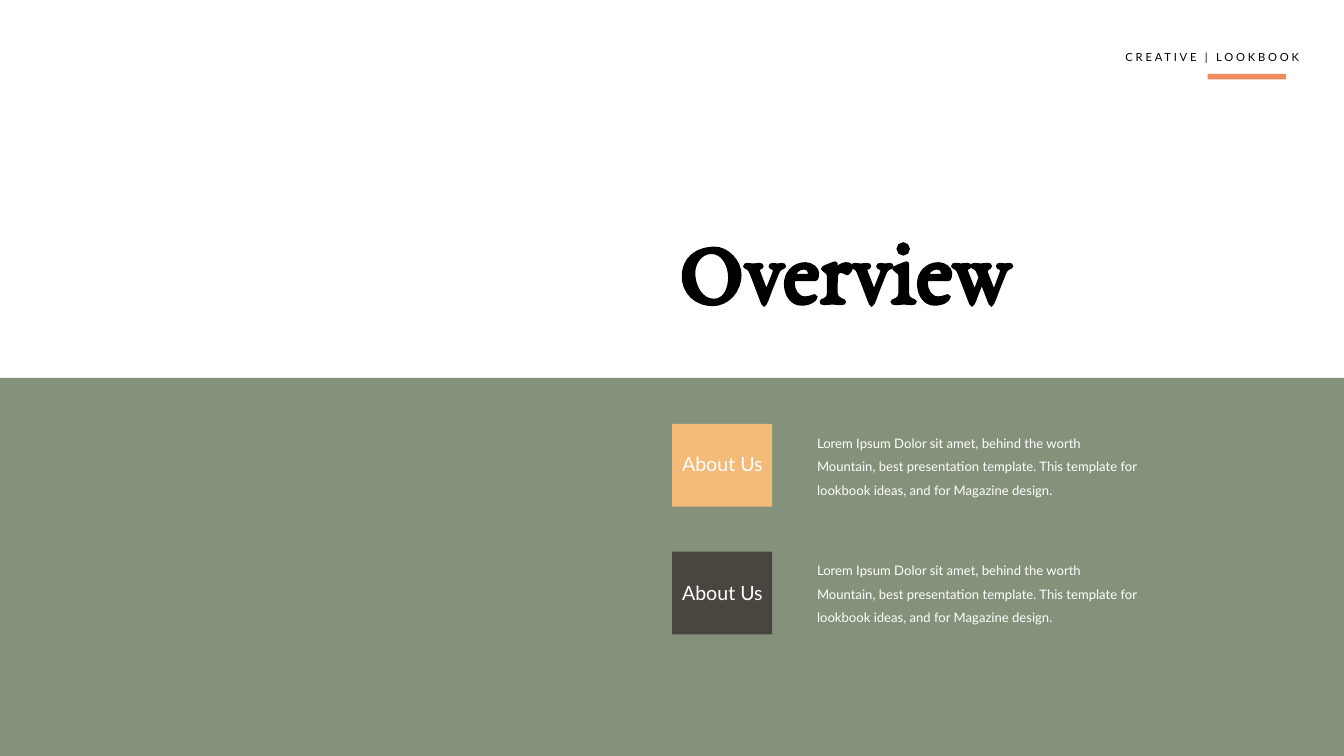
import pptx
import pptx.util
import pptx.dml.color
import pptx.enum.shapes
import pptx.enum.text

Inches = pptx.util.Inches
Anchor = pptx.enum.text.MSO_ANCHOR
Align = pptx.enum.text.PP_ALIGN


def add_block(left, top, width, height, color):
    """Add a plain filled rectangle."""
    block = slide.shapes.add_shape(
        pptx.enum.shapes.MSO_SHAPE.RECTANGLE,
        Inches(left), Inches(top), Inches(width), Inches(height))
    block.shadow.inherit = False
    block.fill.solid()
    block.fill.fore_color.rgb = pptx.dml.color.RGBColor.from_string(color)
    block.line.fill.background()


def write_text(shape, box, text, size, color, font="Lato", bold=False,
               spacing=0.9, align=Align.LEFT, anchor=Anchor.TOP):
    """Place a text shape and return its single formatted run."""
    shape.left, shape.top, shape.width, shape.height = map(Inches, box)
    frame = shape.text_frame
    frame.word_wrap = True
    frame.auto_size = pptx.enum.text.MSO_AUTO_SIZE.NONE
    frame.vertical_anchor = anchor
    paragraph = frame.paragraphs[0]
    paragraph.alignment = align
    paragraph.line_spacing = spacing
    run = paragraph.add_run()
    run.text = text
    run.font.name = font
    run.font.size = pptx.util.Pt(size)
    run.font.bold = bold
    run.font.color.rgb = pptx.dml.color.RGBColor.from_string(color)
    return run


presentation = pptx.Presentation()
presentation.slide_width = Inches(20)
presentation.slide_height = Inches(11.25)
slide = presentation.slides.add_slide(presentation.slide_layouts[5])

# Header
header = write_text(slide.shapes.add_textbox(0, 0, 0, 0), (16.65, 0.72, 3.01, 0.38),
                    "CREATIVE | LOOKBOOK", 12, "000000")
header.font._element.set("spc", "300")
add_block(17.97, 1.1, 1.17, 0.08, "EF8A61")

# Lower half and title
add_block(0, 5.625, 20, 5.625, "84927B")
write_text(slide.shapes.title, (10, 3.23, 11.11, 1.68), "Overview", 99, "000000",
           font="EB Garamond", bold=True, anchor=Anchor.MIDDLE)

# Two labelled rows
description = ("Lorem Ipsum Dolor sit amet, behind the worth Mountain, best presentation "
               "template. This template for lookbook ideas, and for Magazine design.")
for top, label_top, color in ((6.31, 6.71, "F4BA78"), (8.21, 8.63, "49453F")):
    add_block(10, top, 1.49, 1.23, color)
    write_text(slide.shapes.add_textbox(0, 0, 0, 0), (9.72, label_top, 2.06, 0.62),
               "About Us", 21, "FFFFFF", align=Align.CENTER)
    write_text(slide.shapes.add_textbox(0, 0, 0, 0), (12.06, top, 5.01, 1.71),
               description, 14, "FFFFFF", spacing=1.5)

presentation.save("out.pptx")
